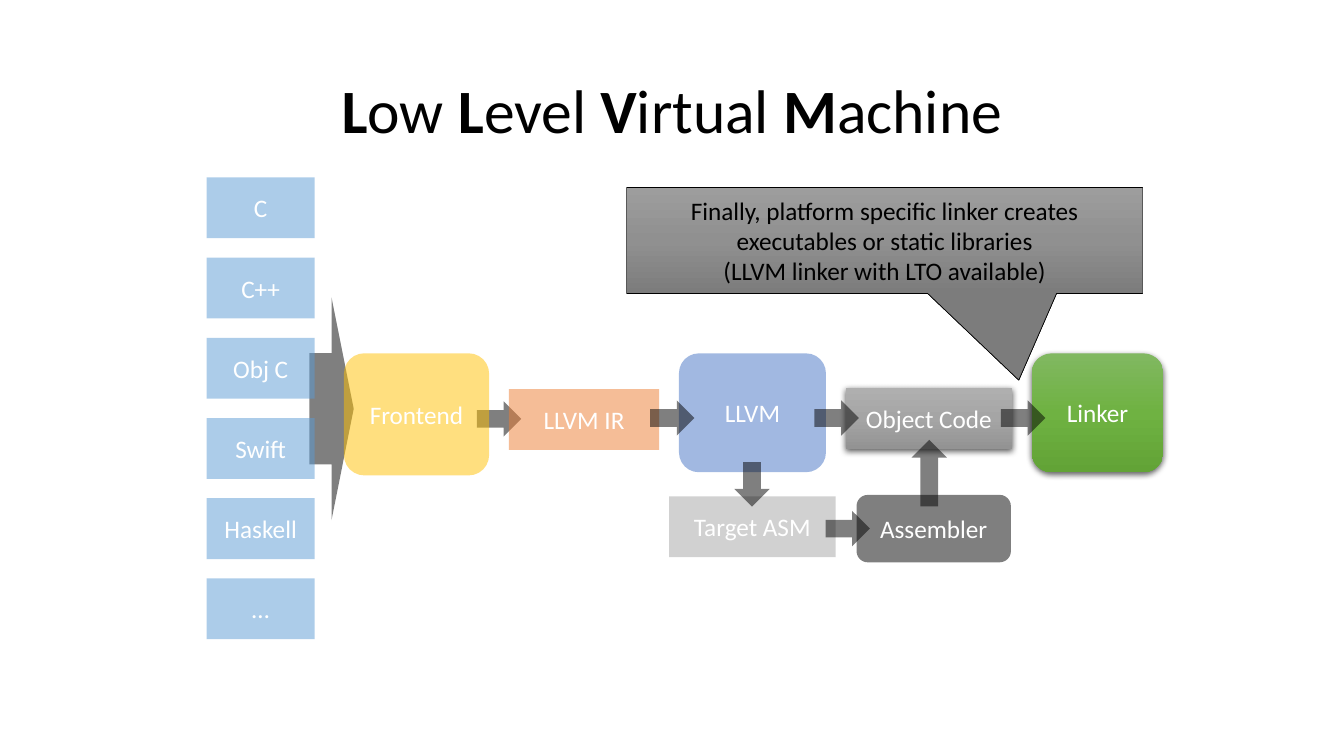
"""Build the Low Level Virtual Machine toolchain slide."""
from dataclasses import dataclass

from lxml import etree
from pptx import Presentation
from pptx import util as u
from pptx.dml.color import RGBColor
from pptx.enum import shapes, text
from pptx.oxml.ns import qn

BOX = shapes.MSO_SHAPE.FLOWCHART_PROCESS
ROUNDED = shapes.MSO_SHAPE.FLOWCHART_ALTERNATE_PROCESS
ARROW = shapes.MSO_SHAPE.RIGHT_ARROW
CALLOUT = shapes.MSO_SHAPE.RECTANGULAR_CALLOUT


@dataclass(frozen=True)
class Theme:
    """Colours and type sizes of the slide."""
    font: str = "Calibri"
    title_size: int = 44
    body_size: int = 18
    dark: str = "000000"
    light: str = "FFFFFF"
    language: str = "5B9BD5"
    frontend: str = "FFC000"
    ir: str = "ED7D31"
    llvm: str = "4472C4"
    target: str = "A5A5A5"
    object_code: tuple = ("AFAFAF", "A5A5A5", "939393")
    linker: tuple = ("81B861", "6FB242", "62A336")
    note: tuple = ("9D9D9D", "909090", "7C7C7C")


def write(frame, paragraphs, *, font, size, color, spacing=None):
    """Fill a frame with centred paragraphs, each a list of (text, bold) runs."""
    frame.word_wrap = True
    frame.vertical_anchor = text.MSO_ANCHOR.MIDDLE
    for index, runs in enumerate(paragraphs):
        paragraph = frame.add_paragraph() if index else frame.paragraphs[0]
        paragraph.alignment = text.PP_ALIGN.CENTER
        paragraph.line_spacing = spacing
        for words, bold in runs:
            run = paragraph.add_run()
            run.text = words
            run.font.name = font
            run.font.size = u.Pt(size)
            run.font.bold = bold
            run.font.color.rgb = RGBColor.from_string(color)


class Diagram:
    """Draw styled elements on one slide, with lengths in points."""

    def __init__(self, slide, theme):
        """Keep the slide and its theme."""
        self.slide = slide
        self.theme = theme

    def title(self, words, at):
        """Place the title with each word's initial in bold."""
        heading = self.slide.shapes.title
        heading.left, heading.top, heading.width, heading.height = map(u.Pt, at)
        runs = []
        for index, word in enumerate(words):
            tail = word[1:] + (" " if index < len(words) - 1 else "")
            runs += [(word[0], True), (tail, False)]
        write(heading.text_frame, [runs], font=self.theme.font,
              size=self.theme.title_size, color=self.theme.dark, spacing=0.9)

    def shape(self, kind, at, fill):
        """Add a plain shape with a half-clear colour or a gradient."""
        figure = self.slide.shapes.add_shape(kind, *map(u.Pt, at))
        figure.shadow.inherit = False
        figure.line.fill.background()
        if isinstance(fill, tuple):
            self.gradient(figure, fill)
        else:
            figure.fill.solid()
            figure.fill.fore_color.rgb = RGBColor.from_string(fill)
            tint = figure.element.spPr.find(f".//{qn('a:srgbClr')}")
            etree.SubElement(tint, qn("a:alpha"), val="50000")
        return figure

    def gradient(self, figure, colors):
        """Fill a shape from top to bottom with evenly spaced colours."""
        figure.fill.gradient()
        figure.fill.gradient_angle = 270
        stops = figure.element.spPr.find(f".//{qn('a:gsLst')}")
        for stop in list(stops):
            stops.remove(stop)
        for index, color in enumerate(colors):
            position = 100000 * index // (len(colors) - 1)
            stop = etree.SubElement(stops, qn("a:gs"), pos=str(position))
            etree.SubElement(stop, qn("a:srgbClr"), val=color)

    def stage(self, kind, label, at, fill):
        """Add a labelled stage, raised by a shadow when it has a gradient."""
        figure = self.shape(kind, at, fill)
        write(figure.text_frame, [[(label, False)]], font=self.theme.font,
              size=self.theme.body_size, color=self.theme.light)
        if isinstance(fill, tuple):
            effects = figure.element.spPr.find(qn("a:effectLst"))
            shadow = etree.SubElement(
                effects, qn("a:outerShdw"), blurRad=str(u.Pt(4.5)),
                dist=str(u.Pt(1.5)), dir="5400000", algn="ctr", rotWithShape="0")
            tint = etree.SubElement(shadow, qn("a:srgbClr"), val=self.theme.dark)
            etree.SubElement(tint, qn("a:alpha"), val="63000")

    def arrow(self, left, top, width=31.7, height=25.2, turn=0):
        """Add a half-clear block arrow."""
        self.shape(ARROW, (left, top, width, height), self.theme.dark).rotation = turn

    def callout(self, lines, at, tip):
        """Add an outlined callout that points to the tip."""
        figure = self.shape(CALLOUT, at, self.theme.note)
        figure.line.color.rgb = RGBColor.from_string(self.theme.dark)
        figure.line.width = u.Pt(0.5)
        for index, offset in enumerate(tip):
            figure.adjustments[index] = offset
        write(figure.text_frame, [[(line, False)] for line in lines],
              font=self.theme.font, size=self.theme.body_size, color=self.theme.dark)


def main():
    """Build and save the slide."""
    deck = Presentation()
    deck.slide_width, deck.slide_height = u.Pt(960), u.Pt(540)
    theme = Theme()
    diagram = Diagram(deck.slides.add_slide(deck.slide_layouts[5]), theme)

    diagram.arrow(340.6, 286.6)
    diagram.arrow(221, 212.4, height=159.1)
    diagram.title(["Low", "Level", "Virtual", "Machine"], (66, 28.8, 828, 104.4))

    languages = ["C", "C++", "Obj C", "Swift", "Haskell", "…"]
    for row, language in enumerate(languages):
        diagram.stage(BOX, language, (147.6, 126.7 + 57.3 * row, 77.2, 43.4),
                      theme.language)

    stages = [
        (ROUNDED, "Frontend", (245.7, 252.4, 103.7, 87.2), theme.frontend),
        (BOX, "LLVM IR", (363.6, 277.9, 107.2, 43.4), theme.ir),
        (ROUNDED, "LLVM", (485, 252.4, 105, 84.9), theme.llvm),
        (BOX, "Target ASM", (477.9, 354.5, 119, 43.4), theme.target),
        (ROUNDED, "Assembler", (611.8, 353.5, 110.3, 48.2), theme.dark),
        (BOX, "Object Code", (604, 277.2, 119, 43.4), theme.object_code),
        (ROUNDED, "Linker", (737, 252.4, 94, 84.9), theme.linker),
    ]
    for kind, label, at, fill in stages:
        diagram.stage(kind, label, at, fill)

    for left in (464.4, 581.8, 715):
        diagram.arrow(left, 286)
    diagram.arrow(521.3, 333.4, turn=90)
    diagram.arrow(640, 325.4, width=47.5, turn=270)
    diagram.arrow(589.7, 365)

    diagram.callout(
        ["Finally, platform specific linker creates executables or static libraries",
         "(LLVM linker with LTO available)"],
        (447.6, 134, 368.6, 75.6), (0.26, 1.32))
    deck.save("out.pptx")


if __name__ == "__main__":
    main()
